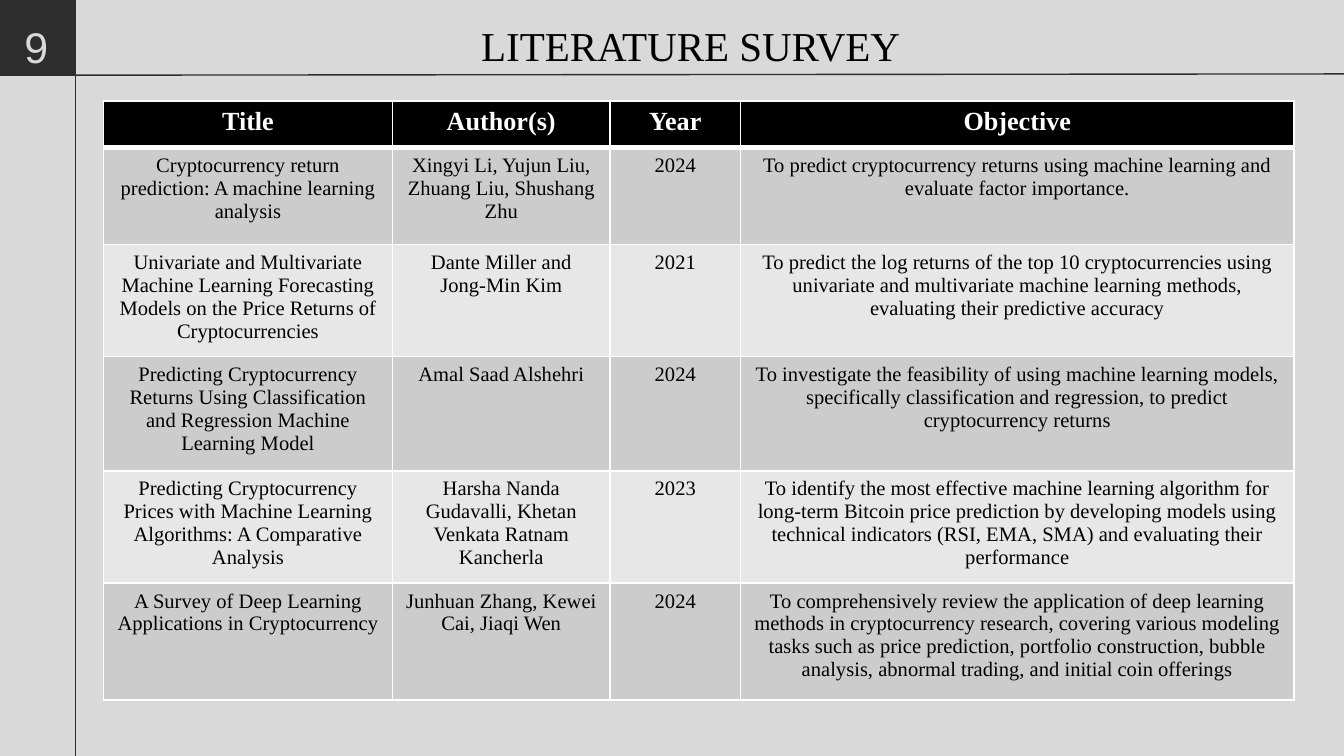
from typing import NamedTuple

from lxml import etree
from pptx import Presentation
from pptx import util as u
from pptx.dml.color import RGBColor
from pptx.enum import shapes, text
from pptx.oxml.ns import qn

SLIDE_WIDTH = 10
SLIDE_HEIGHT = SLIDE_WIDTH * 9 / 16
COLORS = {
    "background": "D9D9D9",
    "dark": "2D2D2D",
    "black": "000000",
    "white": "FFFFFF",
    "odd_row": "CCCCCC",
    "even_row": "E7E7E7",
}
SERIF = "Times New Roman"
COLUMN_WIDTHS = [2.15, 1.62, 0.97, 4.12]
ROW_HEIGHTS = [0.35, 0.72, 0.81, 0.85, 0.72, 0.87]


class Paper(NamedTuple):
    title: str
    authors: str
    year: str
    objective: str


class Rule(NamedTuple):
    x1: float
    y1: float
    x2: float
    y2: float


HEADER = Paper("Title", "Author(s)", "Year", "Objective")
PAPERS = [
    Paper(
        "Cryptocurrency return prediction: A machine learning analysis",
        "Xingyi Li, Yujun Liu, Zhuang Liu, Shushang Zhu",
        "2024",
        "To predict cryptocurrency returns using machine learning and evaluate factor importance.",
    ),
    Paper(
        "Univariate and Multivariate Machine Learning Forecasting Models on the Price Returns "
        "of Cryptocurrencies",
        "Dante Miller and Jong-Min Kim",
        "2021",
        "To predict the log returns of the top 10 cryptocurrencies using univariate and "
        "multivariate machine learning methods, evaluating their predictive accuracy",
    ),
    Paper(
        "Predicting Cryptocurrency Returns Using Classification and Regression Machine "
        "Learning Model",
        "Amal Saad Alshehri",
        "2024",
        "To investigate the feasibility of using machine learning models, specifically "
        "classification and regression, to predict cryptocurrency returns",
    ),
    Paper(
        "Predicting Cryptocurrency Prices with Machine Learning Algorithms: A Comparative Analysis",
        "Harsha Nanda Gudavalli, Khetan Venkata Ratnam Kancherla",
        "2023",
        "To identify the most effective machine learning algorithm for long-term Bitcoin price "
        "prediction by developing models using technical indicators (RSI, EMA, SMA) and "
        "evaluating their performance",
    ),
    Paper(
        "A Survey of Deep Learning Applications in Cryptocurrency",
        "Junhuan Zhang, Kewei Cai, Jiaqi Wen",
        "2024",
        "To comprehensively review the application of deep learning methods in cryptocurrency "
        "research, covering various modeling tasks such as price prediction, portfolio "
        "construction, bubble analysis, abnormal trading, and initial coin offerings",
    ),
]
RULES = [Rule(0.56, 0, 0.56, SLIDE_HEIGHT), Rule(SLIDE_WIDTH, 0.55, 0, 0.56)]


def color(name: str) -> RGBColor:
    return RGBColor.from_string(COLORS[name])


def format_text(paragraph, size: float, font_name: str, color_name: str, bold: bool = False) -> None:
    for run in paragraph.runs:
        run.font.size = u.Pt(size)
        run.font.name = font_name
        run.font.bold = bold
        run.font.color.rgb = color(color_name)


def draw_rule(slide, rule: Rule) -> None:
    connector = slide.shapes.add_connector(
        shapes.MSO_CONNECTOR.STRAIGHT, *(u.Inches(value) for value in rule)
    )
    connector.line.color.rgb = color("dark")
    connector.line.width = u.Pt(0.75)
    etree.SubElement(connector._element.spPr, qn("a:effectLst"))


def draw_page_number(slide) -> None:
    square = slide.shapes.add_shape(
        shapes.MSO_SHAPE.RECTANGLE, u.Inches(-0.01), 0, u.Inches(0.57), u.Inches(0.56)
    )
    square.shadow.inherit = False
    square.fill.solid()
    square.fill.fore_color.rgb = color("dark")
    square.line.fill.background()

    box = slide.shapes.add_textbox(u.Inches(-0.01), u.Inches(0.04), u.Inches(0.56), u.Inches(0.5))
    frame = box.text_frame
    frame.word_wrap = True
    frame.margin_left = frame.margin_right = frame.margin_top = frame.margin_bottom = 0
    frame.text = "9"
    paragraph = frame.paragraphs[0]
    paragraph.alignment = text.PP_ALIGN.CENTER
    paragraph.line_spacing = 1.3
    format_text(paragraph, 23, "Arial", "background")


def draw_title(slide) -> None:
    title = slide.shapes.title
    title.left, title.top = u.Inches(3.48), u.Inches(0.1)
    title.width, title.height = u.Inches(3.43), u.Inches(0.47)
    frame = title.text_frame
    frame.text = "LITERATURE SURVEY"
    frame.word_wrap = True
    frame.auto_size = text.MSO_AUTO_SIZE.NONE
    frame.vertical_anchor = text.MSO_ANCHOR.TOP
    frame.paragraphs[0].alignment = text.PP_ALIGN.LEFT
    format_text(frame.paragraphs[0], 22, SERIF, "black")


def draw_borders(cell, top: float, bottom: float) -> None:
    properties = cell._tc.get_or_add_tcPr()
    for side, width in {"L": 1, "R": 1, "T": top, "B": bottom}.items():
        line = etree.SubElement(properties, qn(f"a:ln{side}"), w=str(u.Pt(width)))
        fill = etree.SubElement(line, qn("a:solidFill"))
        etree.SubElement(fill, qn("a:srgbClr"), val=COLORS["white"])


def draw_cell(cell, content: str, row: int) -> None:
    is_header = row == 0
    draw_borders(cell, top=3 if row == 1 else 1, bottom=3 if is_header else 1)
    cell.fill.solid()
    cell.fill.fore_color.rgb = color("black" if is_header else "odd_row" if row % 2 else "even_row")
    cell.text_frame.text = content
    paragraph = cell.text_frame.paragraphs[0]
    paragraph.alignment = text.PP_ALIGN.CENTER
    format_text(paragraph, 14 if is_header else 11, SERIF, "white" if is_header else "black", is_header)


def draw_survey(slide, papers: list[Paper]) -> None:
    rows = [HEADER, *papers]
    table = slide.shapes.add_table(
        len(rows), len(COLUMN_WIDTHS), u.Inches(0.77), u.Inches(0.75), u.Inches(8.85), u.Inches(4.45)
    ).table
    for column, width in zip(table.columns, COLUMN_WIDTHS):
        column.width = u.Inches(width)
    for row, height in zip(table.rows, ROW_HEIGHTS):
        row.height = u.Inches(height)
    for row_index, paper in enumerate(rows):
        for column_index, content in enumerate(paper):
            draw_cell(table.cell(row_index, column_index), content, row_index)


def main() -> None:
    presentation = Presentation()
    presentation.slide_width = u.Inches(SLIDE_WIDTH)
    presentation.slide_height = u.Inches(SLIDE_HEIGHT)
    slide = presentation.slides.add_slide(presentation.slide_layouts.get_by_name("Title Only"))
    slide.background.fill.solid()
    slide.background.fill.fore_color.rgb = color("background")
    for rule in RULES:
        draw_rule(slide, rule)
    draw_page_number(slide)
    draw_title(slide)
    draw_survey(slide, PAPERS)
    presentation.save("out.pptx")


if __name__ == "__main__":
    main()
